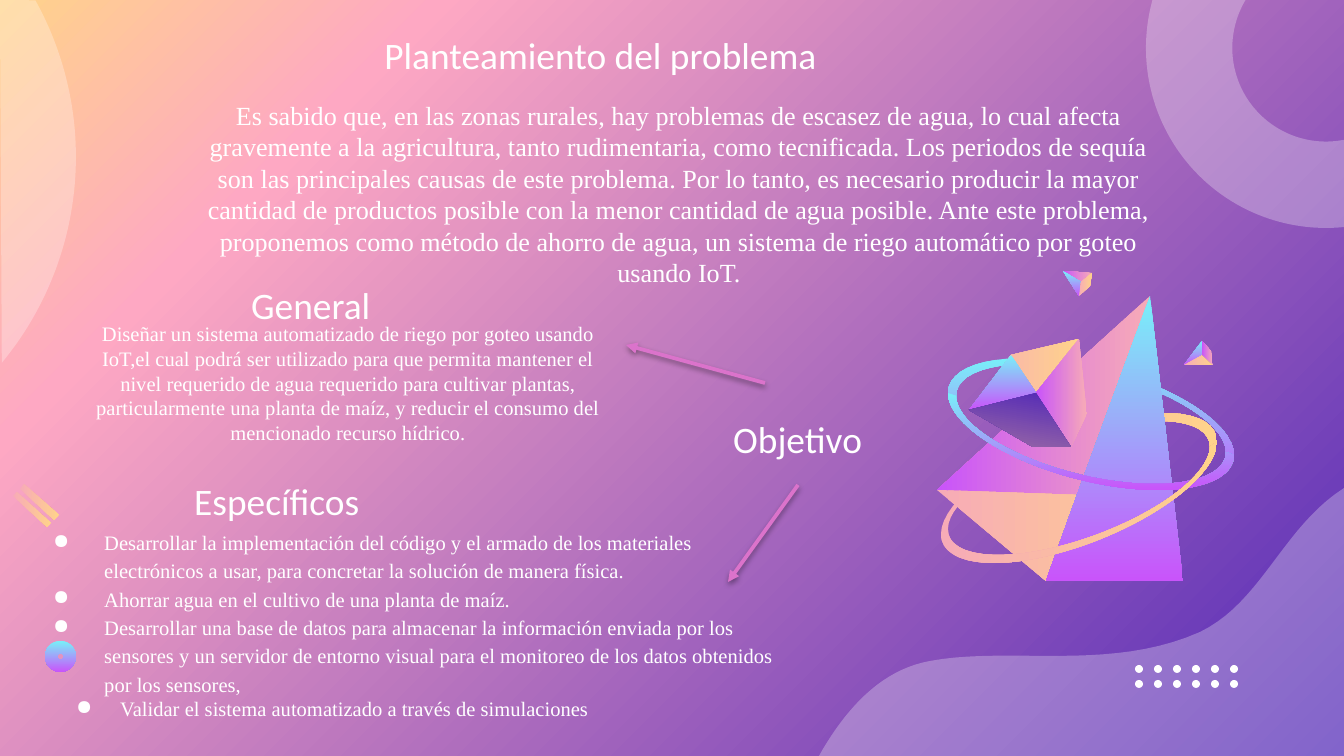
from copy import deepcopy
from math import cos, radians

from lxml.etree import SubElement
from pptx import Presentation
from pptx.dml.color import RGBColor
from pptx.enum.shapes import MSO_CONNECTOR as CONNECTOR, MSO_SHAPE as SHAPE
from pptx.enum.text import MSO_ANCHOR as ANCHOR, MSO_AUTO_SIZE as AUTO_SIZE, PP_ALIGN as ALIGN
from pptx.oxml.ns import qn
from pptx.util import Pt

PX = 9144000 / 1344
THEME = {
    "white": "FFFFFF",
    "arrow": "DB73CB",
    "veil": 28000,
    "backdrop": ([(0, "5229B7"), (0.79, "FEA8C3"), (1, "FFD38B")], 225),
    "ice": ([(0, "78F0F9"), (1, "C954FA")], 90),
    "rose": ([(0, "F7ABB7"), (1, "C954FA")], 180),
    "gold": ([(0, "F7ABB7"), (1, "FFD38B")], 0),
    "dusk": ([(0, "5229B7"), (1, "9B69A5")], 100),
    "heading": {"name": "Calibri", "size": Pt(20)},
    "intro": {"name": "Times New Roman", "size": Pt(14)},
    "detail": {"name": "Times New Roman", "size": Pt(11)},
}
WHITE = RGBColor.from_string(THEME["white"])


def paint(fill, look, owner):
    if look in ("white", "veil"):
        fill.solid()
        fill.fore_color.rgb = WHITE
        if look == "veil":
            color = next(owner.iter(qn("a:srgbClr")))
            SubElement(color, qn("a:alpha"), val=str(THEME["veil"]))
        return
    stops, angle = THEME[look]
    fill.gradient()
    fill.gradient_angle = (360 - angle) % 360
    stop_list = next(owner.iter(qn("a:gsLst")))
    while len(stop_list) < len(stops):
        stop_list.append(deepcopy(stop_list[-1]))
    for stop, (position, color) in zip(fill.gradient_stops, stops):
        stop.position = position
        stop.color.rgb = RGBColor.from_string(color)


def arc(center, radii, phase, start, end):
    steps = 60
    angles = [start + (end - start) * step / steps for step in range(steps + 1)]
    return [(center[0] + radii[0] * cos(radians(angle)),
             center[1] + radii[1] * cos(radians(angle + phase))) for angle in angles]


presentation = Presentation()
presentation.slide_width = round(1344 * PX)
presentation.slide_height = round(756 * PX)
slide = presentation.slides.add_slide(presentation.slide_layouts[5])
paint(slide.background.fill, "backdrop", slide.element)

wave = [(1344, 756), (819, 756)]
for controls in [((845, 710), (880, 670), (930, 661)),
                 ((1010, 646), (1110, 672), (1200, 632)),
                 ((1262, 602), (1282, 528), (1344, 488))]:
    curve = [wave[-1], *controls]
    for step in range(1, 21):
        t = step / 20
        weights = ((1 - t) ** 3, 3 * t * (1 - t) ** 2, 3 * t * t * (1 - t), t ** 3)
        wave.append(tuple(sum(w * point[axis] for w, point in zip(weights, curve))
                          for axis in (0, 1)))
disc = [(0, 0)] + arc((-247, 157), (323, 323), -90, -29, 39.6)

orbits = []
orbit_fronts = []
for look, center, outer, inner, phase in [
    ("gold", (1079, 488), (138, 75), (131, 67), 128),
    ("ice", (1091, 424), (143, 66), (135, 60), 62),
]:
    orbits.append((look, [arc(center, radii, phase, 0, 360) for radii in (outer, inner)]))
    front = arc(center, outer, phase, 0, -180) + arc(center, inner, phase, -180, 0)
    orbit_fronts.insert(0, (look, [front]))

facets = [
    ("rose", [(1150, 296), (1077, 495), (937, 490)]),
    ("gold", [(937, 490), (1077, 495), (1183, 581), (1046, 581)]),
    ("ice", [(1150, 296), (1077, 495), (1046, 581), (1183, 581)]),
    ("gold", [(1079, 339), (1036, 393), (969, 410), (1011, 355)]),
    ("rose", [(1087, 414), (1079, 339), (1036, 393), (1071, 447)]),
    ("ice", [(1036, 393), (1011, 355), (969, 410)]),
    ("dusk", [(1071, 447), (1036, 393), (969, 410), (1033, 447)]),
]
shards = [
    ("rose", [(1092, 273), (1081, 282), (1063, 271)]),
    ("ice", [(1063, 271), (1081, 282), (1079, 296)]),
    ("gold", [(1079, 296), (1081, 282), (1092, 273), (1090, 286)]),
    ("ice", [(1202, 341), (1203, 355), (1184, 365)]),
    ("gold", [(1184, 365), (1203, 355), (1213, 365)]),
    ("rose", [(1213, 365), (1203, 355), (1202, 341), (1211, 351)]),
    ("gold", [(20, 489), (24, 484), (59, 515), (54, 520)]),
    ("gold", [(13, 496), (17, 492), (51, 523), (47, 527)]),
]
outlines = [("veil", [wave]), ("veil", [disc]), *orbits]
outlines += [(look, [points]) for look, points in facets]
outlines += orbit_fronts
outlines += [(look, [points]) for look, points in shards]

for look, contours in outlines:
    builder = None
    for contour in contours:
        points = [(x * PX, y * PX) for x, y in contour]
        if builder is None:
            builder = slide.shapes.build_freeform(*points[0])
        else:
            builder.move_to(*points[0])
        builder.add_line_segments(points[1:], close=True)
    shape = builder.convert_to_shape()
    shape.shadow.inherit = False
    shape.line.fill.background()
    paint(shape.fill, look, shape.element)

rounds = [
    (SHAPE.DONUT, "veil", 1146, -132, 360, 0.24),
    (SHAPE.DONUT, "ice", 45, 641, 31, 0.4),
]
rounds += [(SHAPE.OVAL, "white", 1135 + 19 * column, 665 + 15 * row, 8, None)
           for row in range(2) for column in range(6)]
for kind, look, left, top, size, thickness in rounds:
    shape = slide.shapes.add_shape(kind, *(round(v * PX) for v in (left, top, size, size)))
    if thickness:
        shape.adjustments[0] = thickness
    shape.shadow.inherit = False
    shape.line.fill.background()
    paint(shape.fill, look, shape.element)

INTRO = "Es sabido que, en las zonas rurales, hay problemas de escasez de agua, lo cual afecta gravemente a la agricultura, tanto rudimentaria, como tecnificada. Los periodos de sequía son las principales causas de este problema. Por lo tanto, es necesario producir la mayor cantidad de productos posible con la menor cantidad de agua posible. Ante este problema, proponemos como método de ahorro de agua, un sistema de riego automático por goteo usando IoT."
GENERAL = "Diseñar un sistema automatizado de riego por goteo usando IoT,el cual podrá ser utilizado para que permita mantener el nivel requerido de agua requerido para cultivar plantas, particularmente una planta de maíz, y reducir el consumo del mencionado recurso hídrico."
SPECIFICS = [
    "Desarrollar la implementación del código y el armado de los materiales electrónicos a usar, para concretar la solución de manera física.",
    "Ahorrar agua en el cultivo de una planta de maíz.",
    "Desarrollar una base de datos para almacenar la información enviada por los sensores y un servidor de entorno visual para el monitoreo de los datos obtenidos por los sensores,",
    "Validar el sistema automatizado a través de simulaciones",
]
BULLETS = [(51, -51, 1.15)] * 3 + [(67, -44, 1.0)]

texts = [
    ("heading", (371, 19, 1133, 71), ["Planteamiento del problema"], ALIGN.LEFT, []),
    ("intro", (188, 86, 982, 394), [INTRO], ALIGN.CENTER, []),
    ("heading", (720, 403, 227, 71), ["Objetivo"], ALIGN.LEFT, []),
    ("heading", (181, 465, 313, 71), ["Específicos"], ALIGN.LEFT, []),
    ("heading", (238, 269, 227, 71), ["General"], ALIGN.LEFT, []),
    ("detail", (70, 308, 556, 394), [GENERAL], ALIGN.CENTER, []),
    ("detail", (40, 513, 758, 394), SPECIFICS, ALIGN.LEFT, BULLETS),
]
for index, (style, box, lines, alignment, bullets) in enumerate(texts):
    left, top, width, height = (round(value * PX) for value in box)
    if index == 0:
        shape = slide.shapes.title
    else:
        shape = slide.shapes.add_textbox(left, top, width, height)
    frame = shape.text_frame
    inset = round(13.44 * PX)
    for target, values in [
        (shape, {"left": left, "top": top, "width": width, "height": height}),
        (frame, {"word_wrap": True, "auto_size": AUTO_SIZE.NONE,
                 "vertical_anchor": ANCHOR.MIDDLE if style == "heading" else ANCHOR.TOP,
                 "margin_left": inset, "margin_right": inset,
                 "margin_top": inset, "margin_bottom": inset}),
    ]:
        for name, value in values.items():
            setattr(target, name, value)
    frame.text = "\n".join(lines)
    for number, paragraph in enumerate(frame.paragraphs):
        paragraph.alignment = alignment
        if bullets:
            margin, indent, spacing = bullets[number]
            paragraph.line_spacing = spacing
            properties = paragraph._p.get_or_add_pPr()
            properties.set("marL", str(round(margin * PX)))
            properties.set("indent", str(round(indent * PX)))
            bullet_color = SubElement(properties, qn("a:buClr"))
            SubElement(bullet_color, qn("a:srgbClr"), val=THEME["white"])
            SubElement(properties, qn("a:buChar"), char="●")
        for name, value in THEME[style].items():
            setattr(paragraph.font, name, value)
        paragraph.font.color.rgb = WHITE

for ends in [(765, 383, 626, 345), (798, 485, 728, 582)]:
    arrow = slide.shapes.add_connector(CONNECTOR.STRAIGHT, *(round(value * PX) for value in ends))
    arrow.line.color.rgb = RGBColor.from_string(THEME["arrow"])
    arrow.line.width = Pt(2)
    SubElement(arrow.line._get_or_add_ln(), qn("a:tailEnd"), type="triangle")
    effects = SubElement(arrow._element.spPr, qn("a:effectLst"))
    shadow = SubElement(effects, qn("a:outerShdw"), blurRad=str(Pt(3.1)), dist=str(Pt(1.6)),
                        dir="5400000", rotWithShape="0")
    shadow_color = SubElement(shadow, qn("a:srgbClr"), val="000000")
    SubElement(shadow_color, qn("a:alpha"), val="38000")

presentation.save("out.pptx")
